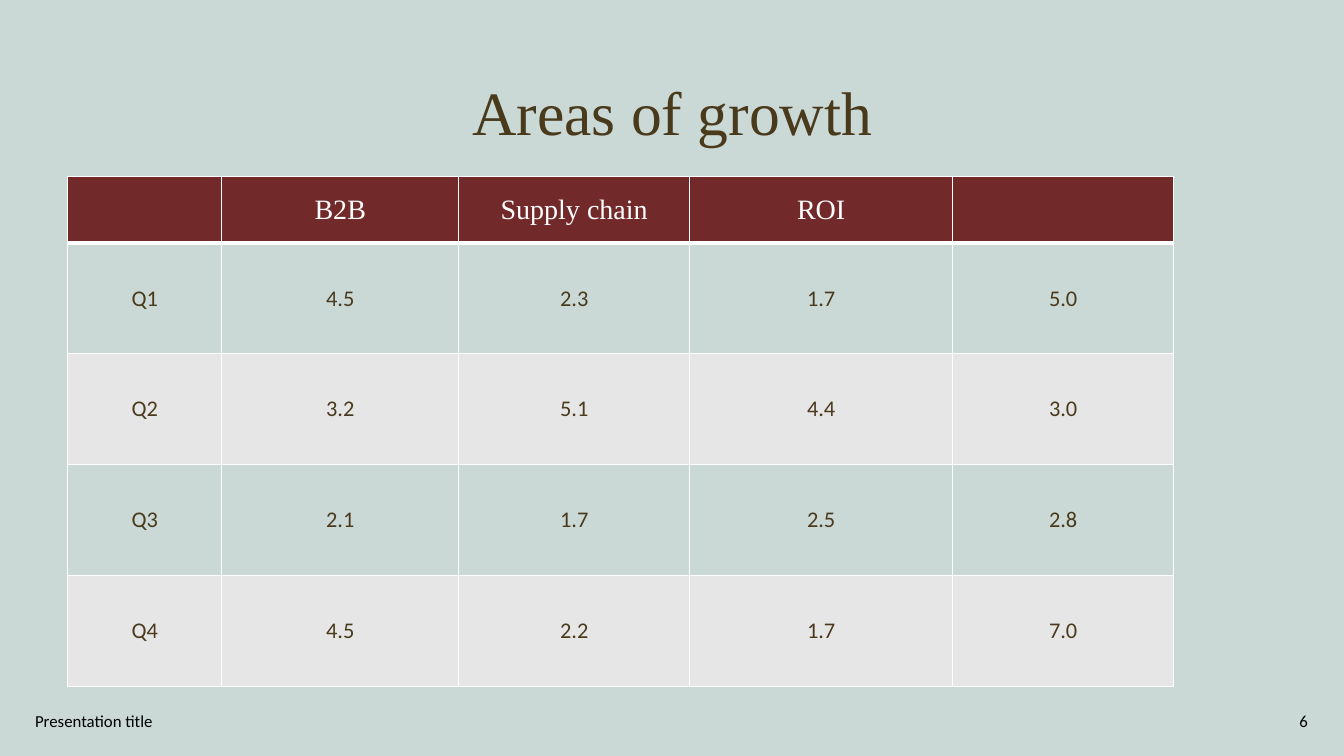
from lxml.etree import SubElement
from pptx import Presentation
from pptx.dml.color import RGBColor
from pptx.enum.text import MSO_ANCHOR, PP_ALIGN
from pptx.oxml.ns import qn
from pptx.util import Inches, Pt

COLORS = {
    "back": "CAD8D6",
    "head": "72292A",
    "band": "E7E6E6",
    "brown": "4A3A1C",
    "white": "FFFFFF",
    "black": "000000",
}
SERIF, SANS = "Times New Roman", "Calibri"
COLS = [1.53, 2.35, 2.29, 2.61, 2.19]
ROWS = [0.66] + [1.1] * 4
DATA = [
    ["", "B2B", "Supply chain", "ROI", ""],
    ["Q1", "4.5", "2.3", "1.7", "5.0"],
    ["Q2", "3.2", "5.1", "4.4", "3.0"],
    ["Q3", "2.1", "1.7", "2.5", "2.8"],
    ["Q4", "4.5", "2.2", "1.7", "7.0"],
]


class Deck:
    """Holds the style and the current slide."""

    def __init__(self):
        self.show = Presentation()
        self.show.slide_width, self.show.slide_height = Inches(13.33), Inches(7.5)
        self.slide = self.show.slides.add_slide(self.show.slide_layouts[5])
        self.paint(self.slide.background.fill, "back")

    def paint(self, fill, color):
        fill.solid()
        fill.fore_color.rgb = RGBColor.from_string(COLORS[color])

    def put(self, frame, text, size, face, color, align):
        frame.text = text
        line = frame.paragraphs[0]
        line.alignment = align
        line.font.size, line.font.name = Pt(size), face
        line.font.color.rgb = RGBColor.from_string(COLORS[color])
        return line

    def title(self, text, box):
        shape = self.slide.shapes.title
        shape.left, shape.top, shape.width, shape.height = map(Inches, box)
        shape.text_frame.vertical_anchor = MSO_ANCHOR.MIDDLE
        line = self.put(shape.text_frame, text, 44, SERIF, "brown", PP_ALIGN.CENTER)
        line.line_spacing = 0.9

    def label(self, text, box, align):
        frame = self.slide.shapes.add_textbox(*map(Inches, box)).text_frame
        frame.word_wrap = True
        frame.vertical_anchor = MSO_ANCHOR.MIDDLE
        self.put(frame, text, 12, SANS, "black", align)

    def border(self, cell, widths):
        props = cell._tc.get_or_add_tcPr()
        for side, width in widths.items():
            edge = SubElement(props, qn(f"a:ln{side}"), w=str(Pt(width)))
            fill = SubElement(edge, qn("a:solidFill"))
            SubElement(fill, qn("a:srgbClr"), val=COLORS["white"])

    def table(self, data, left, top):
        size = Inches(sum(COLS)), Inches(sum(ROWS))
        grid = self.slide.shapes.add_table(
            len(ROWS), len(COLS), Inches(left), Inches(top), *size).table
        for col, width in zip(grid.columns, COLS):
            col.width = Inches(width)
        for row, height in zip(grid.rows, ROWS):
            row.height = Inches(height)
        for r, row in enumerate(data):
            fill = "head" if r == 0 else "back" if r % 2 else "band"
            font = (20, SERIF, "white") if r == 0 else (16, SANS, "brown")
            edges = {"L": 1, "R": 1, "T": 3 if r == 1 else 1, "B": 3 if r == 0 else 1}
            for c, text in enumerate(row):
                cell = grid.cell(r, c)
                self.border(cell, edges)
                self.paint(cell.fill, fill)
                cell.vertical_anchor = MSO_ANCHOR.MIDDLE
                self.put(cell.text_frame, text, *font, PP_ALIGN.CENTER)


def main():
    deck = Deck()
    deck.title("Areas of growth", (0.92, 0.42, 11.5, 1.45))
    deck.table(DATA, 0.67, 1.75)
    deck.label("Presentation title", (0.25, 6.95, 4.5, 0.4), PP_ALIGN.LEFT)
    deck.label("6", (10.07, 6.95, 3, 0.4), PP_ALIGN.RIGHT)
    deck.show.save("out.pptx")


if __name__ == "__main__":
    main()
